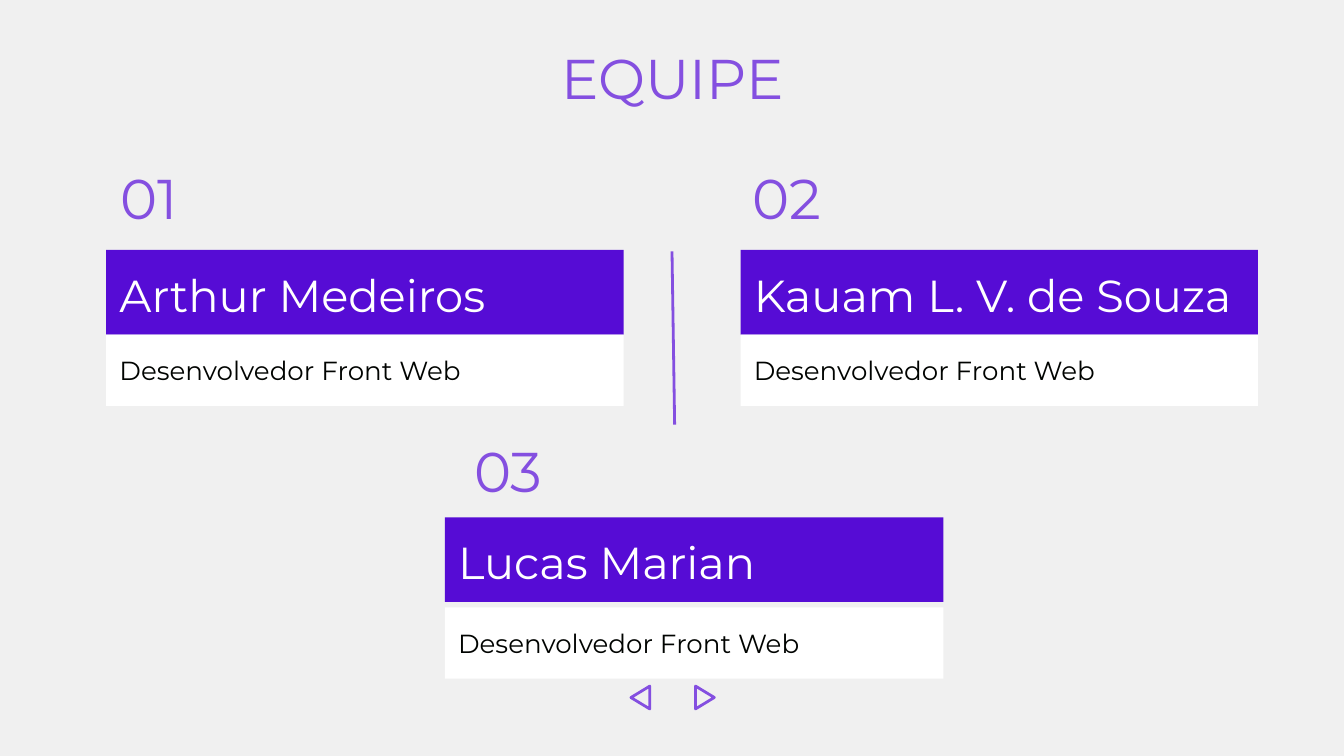
from lxml import etree
from pptx import Presentation
from pptx.dml.color import RGBColor
from pptx.enum.shapes import MSO_CONNECTOR, MSO_SHAPE
from pptx.enum.text import MSO_ANCHOR, PP_ALIGN
from pptx.oxml.ns import qn
from pptx.util import Inches, Pt

LEFT, CENTER = PP_ALIGN.LEFT, PP_ALIGN.CENTER
MIDDLE, BOTTOM = MSO_ANCHOR.MIDDLE, MSO_ANCHOR.BOTTOM
RECTANGLE, TRIANGLE = MSO_SHAPE.RECTANGLE, MSO_SHAPE.ISOSCELES_TRIANGLE
STRAIGHT = MSO_CONNECTOR.STRAIGHT

FONT = "Montserrat"
COLORS = {
    "background": "F0F0F0",
    "accent": "844FE0",
    "band": "560CD5",
    "white": "FFFFFF",
    "text": "000300",
}


def color(name):
    return RGBColor.from_string(COLORS[name])


def add_text(text, left, top, width, height, size, text_color,
             fill=None, align=LEFT, anchor=MIDDLE):
    box = [Inches(value) for value in (left, top, width, height)]
    if fill:
        shape = slide.shapes.add_shape(RECTANGLE, *box)
        shape.shadow.inherit = False
        shape.fill.solid()
        shape.fill.fore_color.rgb = color(fill)
        shape.line.fill.background()
    else:
        shape = slide.shapes.add_textbox(*box)
    frame = shape.text_frame
    frame.word_wrap = True
    frame.vertical_anchor = anchor
    frame.margin_left = frame.margin_right = Inches(0.1)
    frame.margin_top = frame.margin_bottom = Inches(0.1)
    paragraph = frame.paragraphs[0]
    paragraph.alignment = align
    run = paragraph.add_run()
    run.text = text
    run.font.name = FONT
    run.font.size = Pt(size)
    run.font.color.rgb = color(text_color)


presentation = Presentation()
presentation.slide_width = Inches(10)
presentation.slide_height = Inches(10 * 9 / 16)
slide = presentation.slides.add_slide(presentation.slide_layouts[6])
slide.background.fill.solid()
slide.background.fill.fore_color.rgb = color("background")

add_text("EQUIPE", 0.79, 0.26, 8.43, 0.63, 30, "accent", align=CENTER)

members = [
    ("01", "Arthur Medeiros", 0.79, 1.86, 3.85, 0.8, 1.14, 2.49),
    ("02", "Kauam L. V. de Souza", 5.51, 1.86, 3.85, 5.5, 1.14, 2.49),
    ("03", "Lucas Marian", 3.31, 3.85, 3.71, 3.43, 3.17, 4.52),
]
for number, name, left, top, width, number_left, number_top, role_top in members:
    add_text(number, number_left, number_top, 3.71, 0.65, 30, "accent")
    add_text(name, left, top, width, 0.63, 24, "white", fill="band", anchor=BOTTOM)
    add_text("Desenvolvedor Front Web", left, role_top, width, 0.53, 14, "text",
             fill="white")

divider = slide.shapes.add_connector(
    STRAIGHT, Inches(5), Inches(1.87), Inches(5.02), Inches(3.16))
divider.line.color.rgb = color("accent")
divider.line.width = Pt(1.5)
etree.SubElement(divider._element.spPr, qn("a:effectLst"))

for left, rotation in ((4.68, 270), (5.16, 90)):
    arrow = slide.shapes.add_shape(
        TRIANGLE, Inches(left), Inches(5.12), Inches(0.17), Inches(0.14))
    arrow.rotation = rotation
    arrow.shadow.inherit = False
    arrow.fill.background()
    arrow.line.color.rgb = color("accent")
    arrow.line.width = Pt(1.5)

presentation.save("out.pptx")
